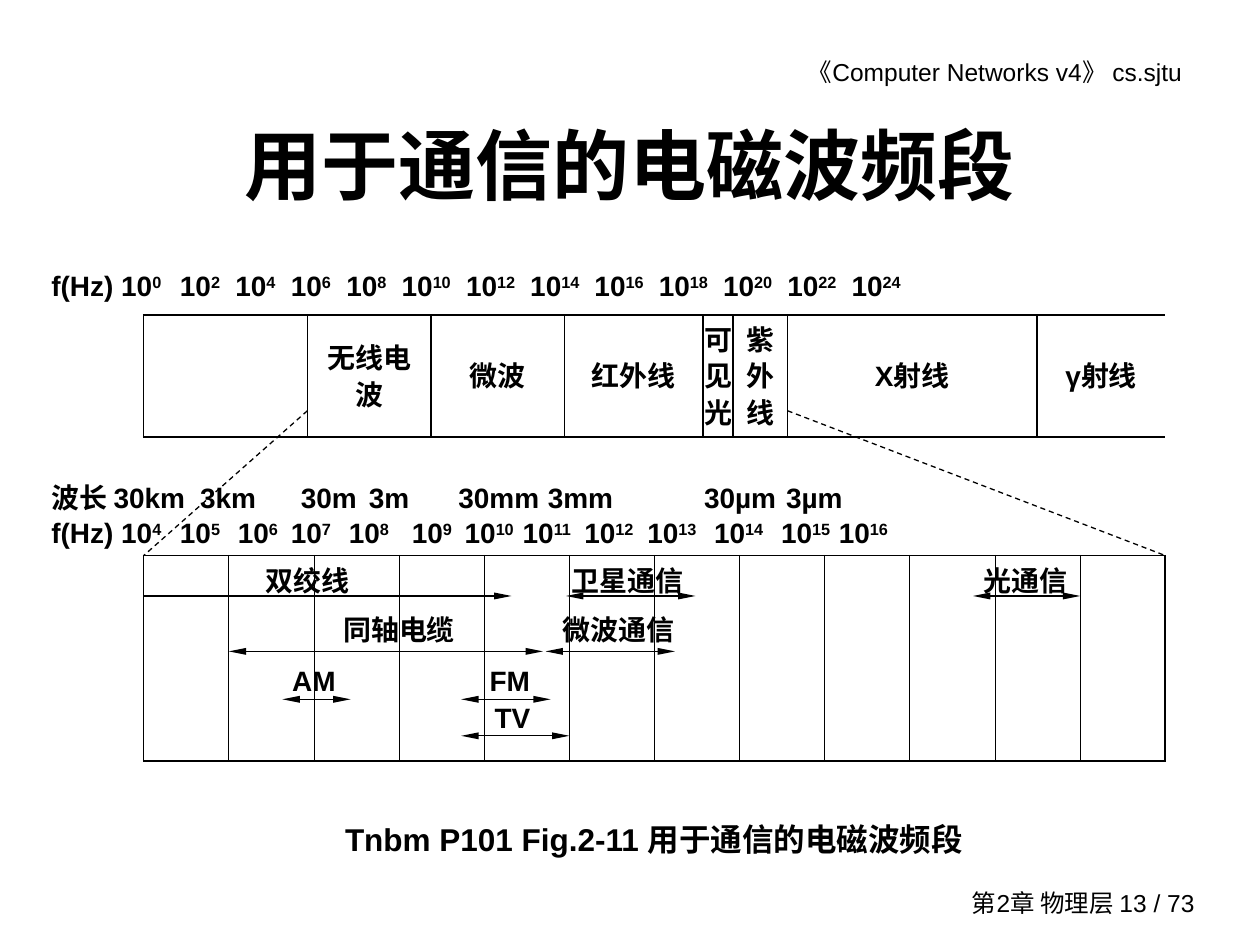
from dataclasses import dataclass

from lxml import etree
from pptx import Presentation
from pptx.dml.color import RGBColor
from pptx.enum.dml import MSO_LINE
from pptx.enum.shapes import MSO_CONNECTOR
from pptx.enum.text import MSO_ANCHOR, MSO_AUTO_SIZE, PP_ALIGN
from pptx.oxml.ns import qn
from pptx.util import Inches, Pt

LEFT, CENTER, RIGHT = PP_ALIGN.LEFT, PP_ALIGN.CENTER, PP_ALIGN.RIGHT
TOP, MIDDLE = MSO_ANCHOR.TOP, MSO_ANCHOR.MIDDLE
FIT_SHAPE, FIXED = MSO_AUTO_SIZE.SHAPE_TO_FIT_TEXT, MSO_AUTO_SIZE.NONE
STRAIGHT, DASH = MSO_CONNECTOR.STRAIGHT, MSO_LINE.DASH


@dataclass(frozen=True)
class Theme:
    font: str = "Arial"
    ink: str = "000000"
    title: int = 44
    caption: int = 18
    label: int = 16
    footer: int = 14
    line: float = 0.75
    border: float = 1.08
    thin_border: float = 0.45


THEME = Theme()
INK = RGBColor.from_string(THEME.ink)

# The chart grid: both tables share their left edge and width.
GRID_LEFT, GRID_WIDTH, COLUMNS = 1.14, 8.11, 12
COLUMN = GRID_WIDTH / COLUMNS
SPECTRUM_TOP, SPECTRUM_HEIGHT = 2.5, 0.97
ZOOM_TOP = SPECTRUM_TOP + 0.76
BANDS_TOP, BANDS_HEIGHT = 4.41, 1.63
SCALE_LEFT = 0.31
NARROW_CELL = 0.3

SPECTRUM = [("", 1.3), ("无线电波", 0.98), ("微波", 1.06), ("红外线", 1.1),
            ("可见光", 0.24), ("紫外线", 0.43), ("X射线", 1.98), ("γ射线", 1.02)]
WAVELENGTHS = ["波长 30km", "3km", "30m", "3m", "30mm", "3mm", "30µm", "3µm"]
WAVELENGTH_TABS = [1.18, 1.98, 2.52, 3.23, 3.94, 5.18, 5.83]
FULL_TABS = [1.02 + 0.44 * step for step in range(5)] + [3.29 + 0.51 * step for step in range(7)]
DETAIL_TABS = [1.02, 1.48, 1.9, 2.36, 2.86, 3.28, 3.74, 4.23, 4.73, 5.26, 5.79, 6.25]

# Label top and arrow height of each row, measured from the top of the band table.
BAND_ROWS = [(0.05, 0.32), (0.44, 0.76), (0.85, 1.14), (1.14, 1.43)]
# Label, row, label centre and width, arrow start and end (all in columns).
BANDS = [
    ("双绞线", 0, 1.92, 1.57, 0, 4.32),
    ("卫星通信", 0, 5.68, 1.57, 4.96, 6.48),
    ("光通信", 0, 10.36, 1, 9.74, 11),
    ("同轴电缆", 1, 3, 1.57, 1, 4.69),
    ("微波通信", 1, 5.58, 1.57, 4.72, 6.24),
    ("AM", 2, 2, 0.78, 1.63, 2.43),
    ("FM", 2, 4.3, 0.78, 3.73, 4.78),
    ("TV", 3, 4.33, 0.78, 3.73, 5),
]


def column_x(column):
    return GRID_LEFT + column * COLUMN


def add_span(para, text, size, bold=True, raised=False):
    span = para.add_run()
    span.text = text
    span.font.color.rgb = INK
    for name, value in {"name": THEME.font, "size": Pt(size), "bold": bold}.items():
        setattr(span.font, name, value)
    if raised:
        span._r.get_or_add_rPr().set("baseline", "30000")


def add_box(page, place, align=LEFT, anchor=TOP, fit=FIT_SHAPE, insets=(0.1, 0.05, 0.1, 0.05),
            spacing=1.0):
    """Add an empty text box and return its first paragraph."""
    frame = page.shapes.add_textbox(*map(Inches, place)).text_frame
    left, top, right, bottom = map(Inches, insets)
    formats = {"word_wrap": True, "auto_size": fit, "vertical_anchor": anchor,
               "margin_left": left, "margin_top": top,
               "margin_right": right, "margin_bottom": bottom}
    for name, value in formats.items():
        setattr(frame, name, value)
    para = frame.paragraphs[0]
    para.alignment, para.line_spacing = align, spacing
    return para


def add_scale(page, top, tabs):
    """Add a scale line whose entries stand at tab stops; return its paragraph."""
    para = add_box(page, (SCALE_LEFT, top, 9.29, 0.42), spacing=1.2)
    stops = etree.SubElement(para._p.get_or_add_pPr(), qn("a:tabLst"))
    for tab in tabs:
        etree.SubElement(stops, qn("a:tab"), pos=str(Inches(tab)), algn="l")
    return para


def add_power_scale(page, top, exponents, tabs):
    para = add_scale(page, top, tabs)
    for index, exponent in enumerate(exponents):
        add_span(para, "\t10" if index else "f(Hz) 10", THEME.label)
        add_span(para, str(exponent), THEME.label, raised=True)


def set_borders(cell, widths):
    """Set left, right, top and bottom borders in points; None leaves a side open."""
    properties = cell._tc.get_or_add_tcPr()
    for index, (side, width) in enumerate(zip("LRTB", widths)):
        line = etree.Element(qn(f"a:ln{side}"), w=str(Pt(width or 0)))
        if width is None:
            etree.SubElement(line, qn("a:noFill"))
        else:
            fill = etree.SubElement(line, qn("a:solidFill"))
            etree.SubElement(fill, qn("a:srgbClr"), val=THEME.ink)
        properties.insert(index, line)


def add_band_table(page, top, height, labels, widths, inner, right):
    """Add a one-row table with the given inner and right border widths."""
    frame = page.shapes.add_table(1, len(labels), *map(Inches, (GRID_LEFT, top, GRID_WIDTH, height)))
    table = frame.table
    table.first_row = table.horz_banding = False
    last = len(labels) - 1
    for index, (label, width) in enumerate(zip(labels, widths)):
        table.columns[index].width = Inches(width)
        cell = table.cell(0, index)
        cell.fill.background()
        cell.vertical_anchor = MIDDLE
        if width < NARROW_CELL:
            cell.margin_left = cell.margin_right = 0
        set_borders(cell, (inner if index else THEME.border,
                           inner if index < last else right, THEME.border, THEME.border))
        if label:
            para = cell.text_frame.paragraphs[0]
            para.alignment, para.line_spacing = CENTER, 0.9
            add_span(para, label, THEME.label)


def add_line(page, start, end, heads=(), dash=None):
    line = page.shapes.add_connector(STRAIGHT, *map(Inches, (*start, *end)))
    line.line.color.rgb, line.line.width = INK, Pt(THEME.line)
    if dash:
        line.line.dash_style = dash
    outline = line.line._get_or_add_ln()
    for head in heads:
        etree.SubElement(outline, qn(f"a:{head}"), type="triangle", w="sm", len="lg")
    etree.SubElement(line._element.spPr, qn("a:effectLst"))


def add_band(page, label, row, centre, width, start, end):
    label_top, arrow_top = (BANDS_TOP + offset for offset in BAND_ROWS[row])
    place = (column_x(centre - width / 2), label_top, width * COLUMN, 0.29)
    add_span(add_box(page, place, CENTER, insets=(0, 0.01, 0, 0.01)), label, THEME.label)
    heads = ("headEnd", "tailEnd") if start else ("tailEnd",)
    add_line(page, (column_x(start), arrow_top), (column_x(end), arrow_top), heads)


def add_zoom_lines(page):
    """Join the part of the spectrum used for communication to the band table."""
    widths = [width for _, width in SPECTRUM]
    for cells, corner in ((1, 0), (6, COLUMNS)):
        add_line(page, (GRID_LEFT + sum(widths[:cells]), ZOOM_TOP),
                 (column_x(corner), BANDS_TOP), dash=DASH)


def main():
    deck = Presentation()
    deck.slide_width, deck.slide_height = Inches(10), Inches(7.5)
    page = deck.slides.add_slide(deck.slide_layouts[6])

    header = add_box(page, (5.28, 0.4, 4.31, 0.34), RIGHT, insets=(0.1, 0.05, 0.21, 0.05))
    add_span(header, "《Computer Networks v4》 cs.sjtu", THEME.footer, bold=False)
    footer = add_box(page, (7.32, 7, 2.26, 0.33), RIGHT, MIDDLE, FIXED)
    add_span(footer, "第2章 物理层 13 / 73", THEME.footer, bold=False)
    title = add_box(page, (0.75, 0.67, 8.5, 1.25), CENTER, MIDDLE, FIXED)
    add_span(title, "用于通信的电磁波频段", THEME.title)

    add_power_scale(page, 2.03, range(0, 25, 2), FULL_TABS)
    add_band_table(page, SPECTRUM_TOP, SPECTRUM_HEIGHT, *zip(*SPECTRUM),
                   inner=THEME.border, right=None)
    add_span(add_scale(page, 3.71, WAVELENGTH_TABS), "\t".join(WAVELENGTHS), THEME.label)
    add_power_scale(page, 3.99, range(4, 17), DETAIL_TABS)
    add_band_table(page, BANDS_TOP, BANDS_HEIGHT, [""] * COLUMNS, [COLUMN] * COLUMNS,
                   inner=THEME.thin_border, right=THEME.border)
    for band in BANDS:
        add_band(page, *band)
    add_zoom_lines(page)

    caption = add_box(page, (2.64, 6.4, 5.22, 0.46), spacing=1.2)
    add_span(caption, "Tnbm P101 Fig.2-11 用于通信的电磁波频段", THEME.caption)
    deck.save("out.pptx")


if __name__ == "__main__":
    main()
